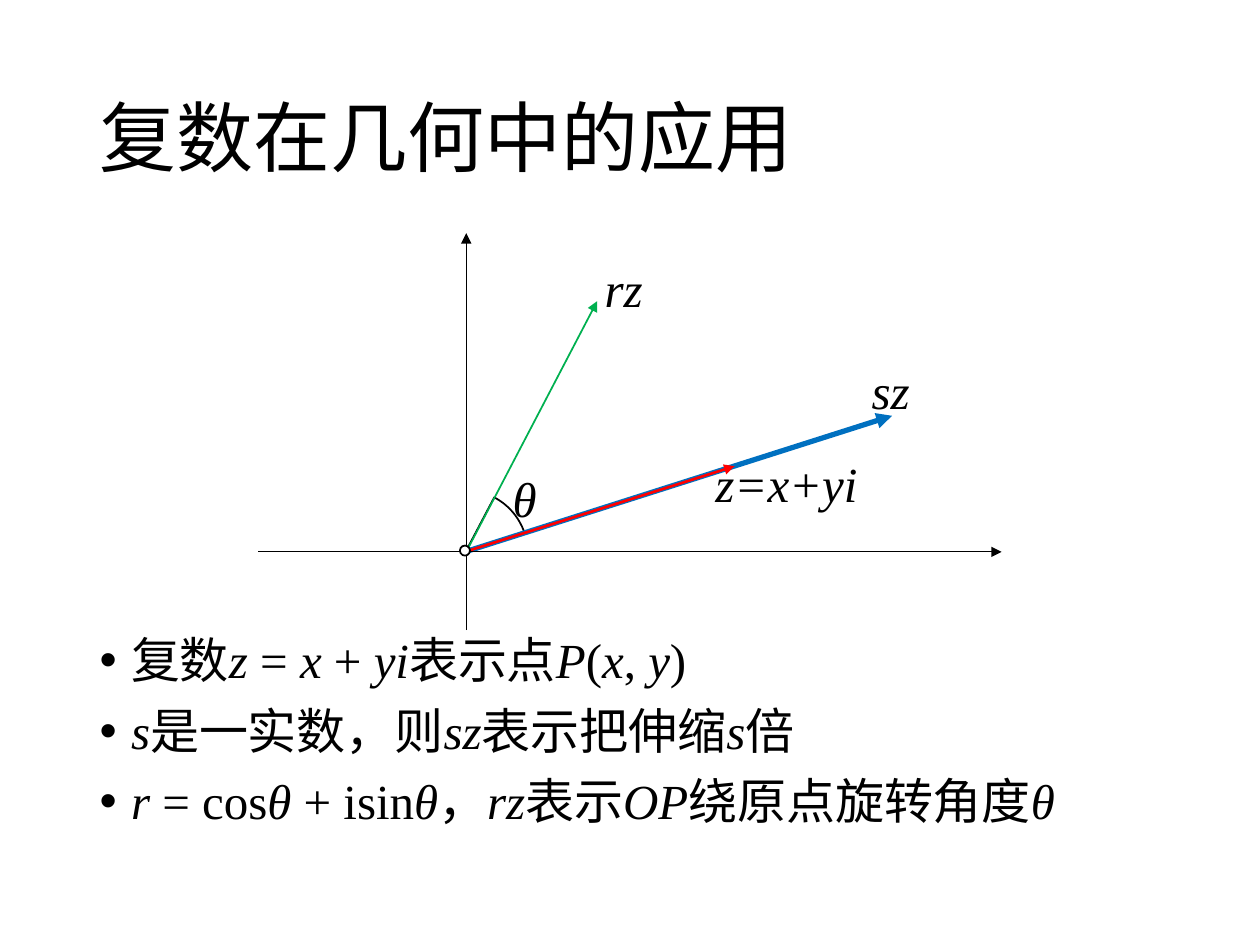
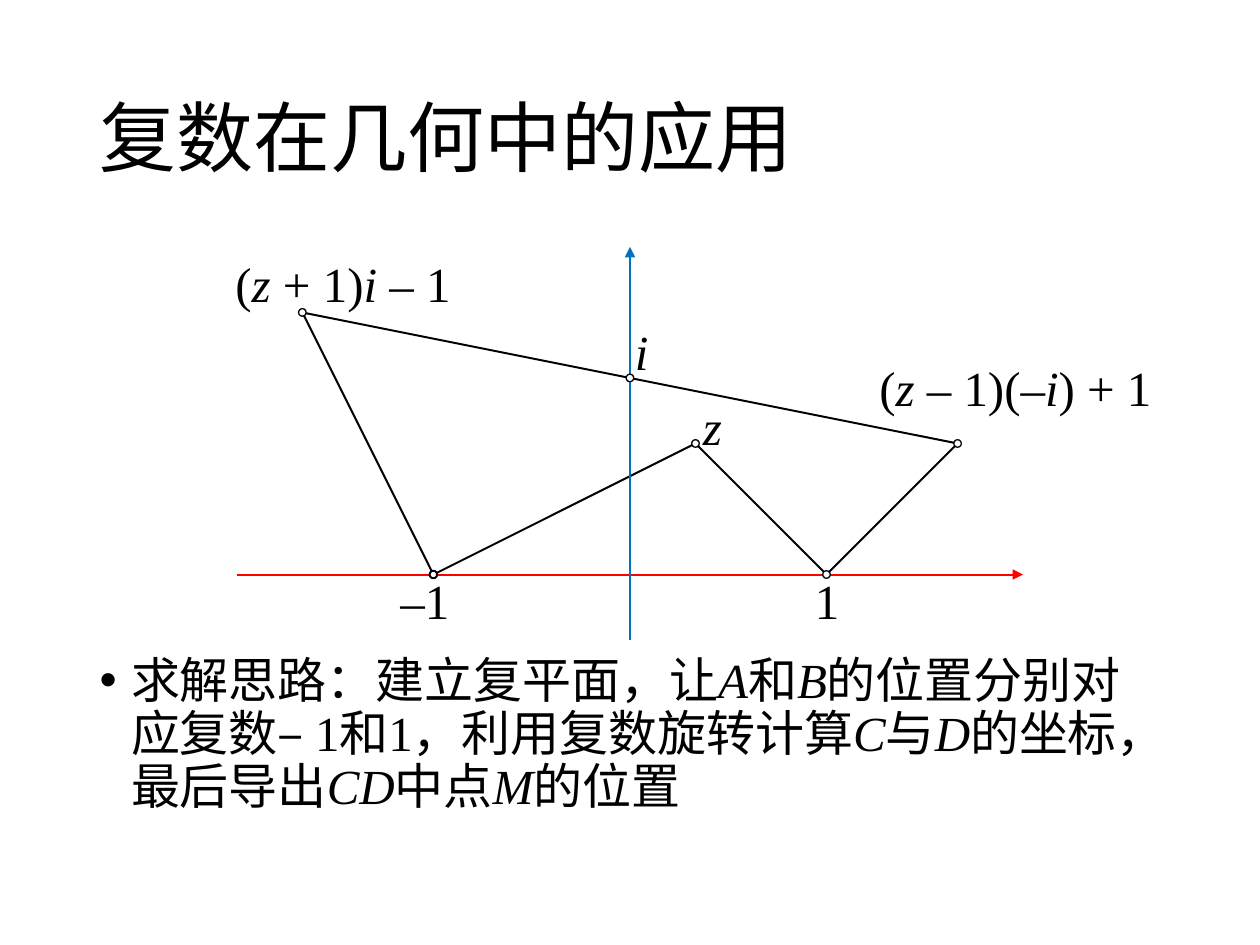
from dataclasses import dataclass

from lxml.etree import SubElement
from pptx import Presentation
from pptx.dml.color import RGBColor
from pptx.enum.shapes import MSO_CONNECTOR, MSO_SHAPE
from pptx.enum.text import MSO_ANCHOR, MSO_AUTO_SIZE, PP_ALIGN
from pptx.oxml.ns import qn
from pptx.util import Inches, Pt


@dataclass(frozen=True)
class Theme:
    black: str = "000000"
    white: str = "FFFFFF"
    red: str = "FF0000"
    blue: str = "0070C0"
    green: str = "00B050"
    latin: str = "Times New Roman"
    cjk: str = "Noto Sans CJK SC"
    title_size: int = 44
    text_size: int = 28


@dataclass(frozen=True)
class Segment:
    start: complex
    end: complex
    color: str
    width: float
    arrow: bool = True


@dataclass(frozen=True)
class Label:
    text: str
    left: float
    top: float
    width: float
    wrap: bool = False


THEME = Theme()
TITLE = "复数在几何中的应用"
LEFT, WIDTH = 0.69, 8.62
LABEL_HEIGHT = 0.57

# Slide 1: positions in inches, as x + y·1j with y pointing down
ORIGIN = 3.69 + 4.38j
VECTORS = [
    Segment(ORIGIN, 7.08 + 3.3j, THEME.blue, 3),
    Segment(ORIGIN, 5.83 + 3.7j, THEME.red, 1.5),
    Segment(3.7 + 4.38j, 4.74 + 2.39j, THEME.green, 1),
    Segment(2.05 + 4.38j, 7.95 + 4.38j, THEME.black, 0.5),
    Segment(3.7 + 5j, 3.7 + 1.85j, THEME.black, 0.5),
]
VECTOR_LABELS = [
    Label("*z=x+yi*", 5.58, 3.55, 1.41, wrap=True),
    Label("*sz*", 6.82, 2.81, 0.51),
    Label("*rz*", 4.7, 2, 0.51),
    Label("*θ*", 3.97, 3.67, 0.39),
]
VECTOR_NOTES = [
    "复数*z* = *x* + *yi*表示点*P*(*x*, *y*)",
    "*s*是一实数，则*sz*表示把伸缩*s*倍",
    "*r* = cos*θ* + isin*θ*，*rz*表示*OP*绕原点旋转角度*θ*",
]

# Slide 2: points of the complex plane
PLANE_ORIGIN = 5 + 4.56j
UNIT = 1.56
PLANE_LINE = 1.13
A, B, Z = -1 + 0j, 1 + 0j, (1 + 2j) / 3
C = (Z + 1) * 1j - 1
D = (Z - 1) * -1j + 1
M = (C + D) / 2
PLANE_LABELS = [
    Label("–1", 3.08, 4.48, 0.59),
    Label("1", 6.37, 4.48, 0.4),
    Label("*z*", 5.48, 3.1, 0.35),
    Label("(*z* + 1)*i* – 1", 1.77, 1.96, 1.95),
    Label("*i*", 4.94, 2.5, 0.31),
    Label("(*z* – 1)(–*i*) + 1", 6.88, 2.79, 2.39),
]
PLANE_NOTES = [
    "求解思路：建立复平面，让*A*和*B*的位置分别对应复数– 1和1，"
    "利用复数旋转计算*C*与*D*的坐标，最后导出*CD*中点*M*的位置",
]


def write(p, text: str, *, size: int = THEME.text_size, latin: str = THEME.latin,
          color: str = THEME.black) -> None:
    """Add text to a paragraph; parts between asterisks become italic."""
    for i, part in enumerate(text.split("*")):
        if not part:
            continue
        r = p.add_run()
        r.text = part
        r.font.size = Pt(size)
        r.font.name = latin
        r.font.italic = i % 2 == 1
        r.font.color.rgb = RGBColor.from_string(color)
        SubElement(r.font._element, qn("a:ea"), typeface=THEME.cjk)


def place(sp, left: float, top: float, width: float, height: float) -> None:
    sp.left, sp.top = Inches(left), Inches(top)
    sp.width, sp.height = Inches(width), Inches(height)


def add_bullet(p) -> None:
    pPr = p._p.get_or_add_pPr()
    pPr.set("marL", str(Inches(0.25)))
    pPr.set("indent", str(-Inches(0.25)))
    SubElement(pPr, qn("a:buFont"), typeface="Arial")
    SubElement(pPr, qn("a:buChar"), char="•")


def add_slide(prs, notes: list[str], top: float, height: float):
    """Add a slide with the shared title and a bulleted list."""
    slide = prs.slides.add_slide(prs.slide_layouts[1])
    title, body = slide.placeholders
    place(title, LEFT, 0.4, WIDTH, 1.45)
    place(body, LEFT, top, WIDTH, height)
    for sp, anchor in ((title, MSO_ANCHOR.MIDDLE), (body, MSO_ANCHOR.TOP)):
        sp.text_frame.auto_size = MSO_AUTO_SIZE.NONE
        sp.text_frame.vertical_anchor = anchor

    p = title.text_frame.paragraphs[0]
    p.alignment = PP_ALIGN.LEFT
    p.line_spacing = 0.9
    write(p, TITLE, size=THEME.title_size, latin=THEME.cjk)

    tf = body.text_frame
    for i, note in enumerate(notes):
        p = tf.add_paragraph() if i else tf.paragraphs[0]
        add_bullet(p)
        p.line_spacing = 0.9
        p.space_before = Pt(10 if i else 0)
        write(p, note)
    return slide


def draw_segment(slide, seg: Segment) -> None:
    line = slide.shapes.add_connector(
        MSO_CONNECTOR.STRAIGHT,
        Inches(seg.start.real), Inches(seg.start.imag),
        Inches(seg.end.real), Inches(seg.end.imag))
    line.line.color.rgb = RGBColor.from_string(seg.color)
    line.line.width = Pt(seg.width)
    if seg.arrow:
        SubElement(line.line._get_or_add_ln(), qn("a:tailEnd"), type="triangle")
    SubElement(line._element.spPr, qn("a:effectLst"))


def draw_shape(slide, kind, center: complex, size: float, width: float, *,
               filled: bool = True):
    sp = slide.shapes.add_shape(
        kind, Inches(center.real - size / 2), Inches(center.imag - size / 2),
        Inches(size), Inches(size))
    sp.shadow.inherit = False
    if filled:
        sp.fill.solid()
        sp.fill.fore_color.rgb = RGBColor.from_string(THEME.white)
    else:
        sp.fill.background()
    sp.line.color.rgb = RGBColor.from_string(THEME.black)
    sp.line.width = Pt(width)
    return sp


def draw_label(slide, label: Label) -> None:
    box = slide.shapes.add_textbox(Inches(label.left), Inches(label.top),
                                   Inches(label.width), Inches(LABEL_HEIGHT))
    tf = box.text_frame
    tf.word_wrap = label.wrap
    tf.auto_size = MSO_AUTO_SIZE.SHAPE_TO_FIT_TEXT
    write(tf.paragraphs[0], label.text)


def on_slide(z: complex) -> complex:
    """Turn a point of the complex plane into slide inches."""
    return PLANE_ORIGIN + UNIT * z.conjugate()


def build_vectors(prs) -> None:
    slide = add_slide(prs, VECTOR_NOTES, 5, 1.76)
    angle = draw_shape(slide, MSO_SHAPE.PIE, 3.69 + 4.39j, 1, 1, filled=False)
    for i, degrees in enumerate((297.76, 340.15)):
        angle.adjustments[i] = degrees * 0.6
    for seg in VECTORS:
        draw_segment(slide, seg)
    draw_shape(slide, MSO_SHAPE.OVAL, ORIGIN - 0.01j, 0.08, 1)
    for label in VECTOR_LABELS:
        draw_label(slide, label)


def build_plane(prs) -> None:
    slide = add_slide(prs, PLANE_NOTES, 5.16, 1.59)
    for start, end in ((Z, A), (A, C), (Z, B), (B, D), (C, D)):
        draw_segment(slide, Segment(on_slide(start), on_slide(end),
                                    THEME.black, PLANE_LINE, arrow=False))
    for start, end, color in ((-2 + 0j, 2 + 0j, THEME.red),
                              (-1j / 3, 5j / 3, THEME.blue)):
        draw_segment(slide, Segment(on_slide(start), on_slide(end),
                                    color, PLANE_LINE))
    for point in (A, B, Z, C, D, M):
        draw_shape(slide, MSO_SHAPE.OVAL, on_slide(point), 0.06,
                   PLANE_LINE if point == A else 0.75)
    for label in PLANE_LABELS:
        draw_label(slide, label)


def main() -> None:
    prs = Presentation()
    prs.slide_width, prs.slide_height = Inches(10), Inches(7.5)
    build_vectors(prs)
    build_plane(prs)
    prs.save("out.pptx")


if __name__ == "__main__":
    main()
